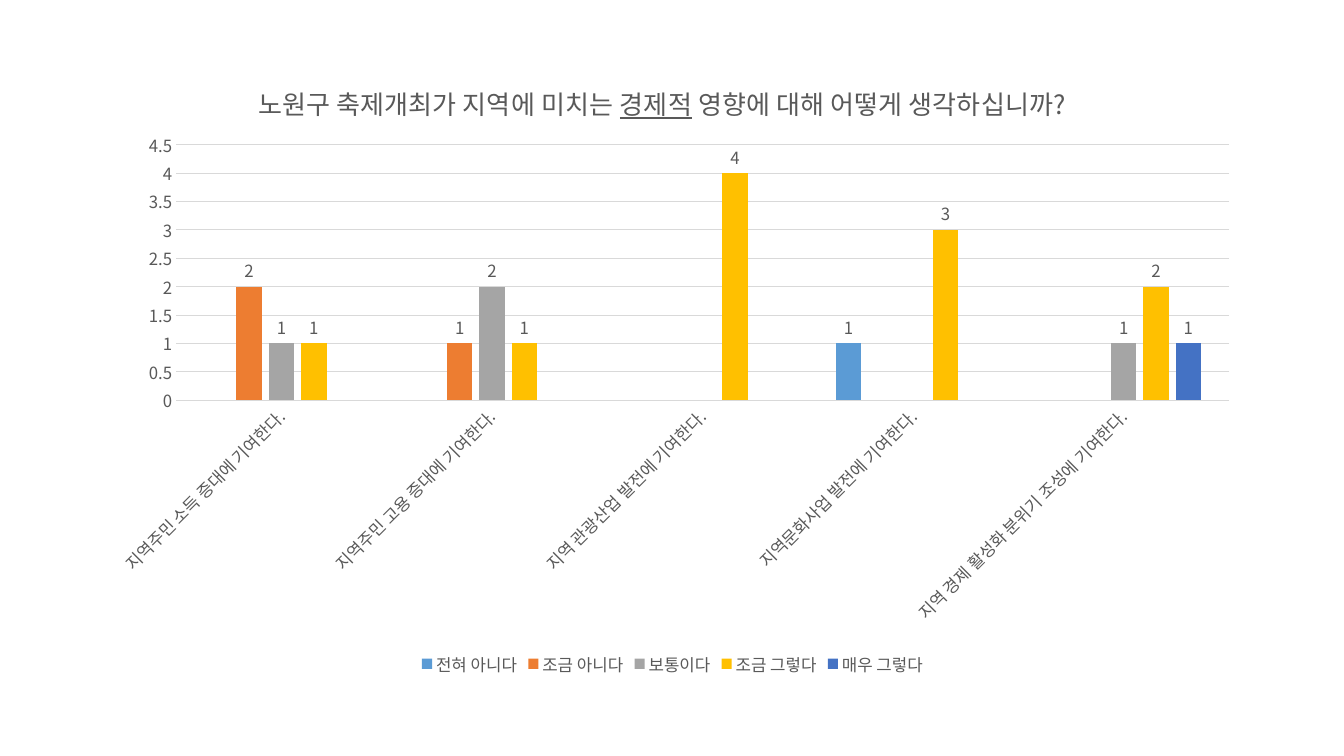
"""Build a slide with a clustered column chart of survey answers."""
from lxml import etree
from pptx import Presentation
from pptx.chart.data import CategoryChartData
from pptx.dml.color import RGBColor
from pptx.enum.chart import (
    XL_CHART_TYPE, XL_LABEL_POSITION, XL_LEGEND_POSITION, XL_TICK_MARK)
from pptx.oxml.ns import qn
from pptx.util import Inches, Pt

TITLE = [("노원구 축제개최가 지역에 미치는 ", False), ("경제적", True),
         (" 영향에 대해 어떻게 생각하십니까?", False)]
CLAIMS = ["지역주민 소득 증대에 기여한다.", "지역주민 고용 증대에 기여한다.",
          "지역 관광산업 발전에 기여한다.", "지역문화사업 발전에 기여한다.",
          "지역 경제 활성화 분위기 조성에 기여한다."]
ANSWERS = [
    ("전혀 아니다", (None, None, None, 1, None), RGBColor(0x5B, 0x9B, 0xD5)),
    ("조금 아니다", (2, 1, None, None, None), RGBColor(0xED, 0x7D, 0x31)),
    ("보통이다", (1, 2, None, None, 1), RGBColor(0xA5, 0xA5, 0xA5)),
    ("조금 그렇다", (1, 1, 4, 3, 2), RGBColor(0xFF, 0xC0, 0x00)),
    ("매우 그렇다", (None, None, None, None, 1), RGBColor(0x44, 0x72, 0xC4)),
]
FACE = "Noto Sans CJK KR"
GREY = RGBColor(0x59, 0x59, 0x59)
PALE = RGBColor(0xD9, 0xD9, 0xD9)
COLUMN = XL_CHART_TYPE.COLUMN_CLUSTERED
BOTTOM = XL_LEGEND_POSITION.BOTTOM
ABOVE = XL_LABEL_POSITION.OUTSIDE_END
NO_TICK = XL_TICK_MARK.NONE


def style(font, size=12, line=False):
    """Set face, size, colour and underline of a font."""
    font.name = FACE
    font.size = Pt(size)
    font.bold = False
    font.underline = line
    font.color.rgb = GREY


def write(para, text, **form):
    """Add a formatted run to a paragraph."""
    run = para.add_run()
    run.text = text
    style(run.font, **form)


def rule(line):
    """Draw a thin pale line."""
    line.color.rgb = PALE
    line.width = Pt(0.75)


def place(part, index, **spots):
    """Give a chart part a manual layout in fractions of the chart."""
    for old in part.findall(qn("c:layout")):
        part.remove(old)
    layout = etree.Element(qn("c:layout"))
    manual = etree.SubElement(layout, qn("c:manualLayout"))
    if "w" in spots:
        etree.SubElement(manual, qn("c:layoutTarget")).set("val", "inner")
    for mode in ("xMode", "yMode"):
        etree.SubElement(manual, qn("c:" + mode)).set("val", "edge")
    for key, share in spots.items():
        etree.SubElement(manual, qn("c:" + key)).set("val", str(share))
    part.insert(index, layout)


def fill(chart):
    """Format the series, axes, title and legend."""
    style(chart.font)
    plot = chart.plots[0]
    plot.gap_width = 219
    plot.overlap = -27
    plot.vary_by_categories = False
    for series, (_, _, color) in zip(plot.series, ANSWERS):
        series.format.fill.solid()
        series.format.fill.fore_color.rgb = color
        labels = series.data_labels
        labels.show_value = True
        labels.position = ABOVE
        style(labels.font)

    claims, count = chart.category_axis, chart.value_axis
    for axis in (claims, count):
        axis.major_tick_mark = axis.minor_tick_mark = NO_TICK
        style(axis.tick_labels.font)
    rule(claims.format.line)
    claims.tick_labels.font._element.getparent().getparent().getparent().find(
        qn("a:bodyPr")).set("rot", "-2700000")
    count.format.line.fill.background()
    count.minimum_scale, count.maximum_scale, count.major_unit = 0, 4.5, 0.5
    rule(count.major_gridlines.format.line)

    chart.has_title = True
    title = chart.chart_title
    para = title.text_frame.paragraphs[0]
    for text, line in TITLE:
        write(para, text, size=18.6, line=line)
    place(title._element, 1, x=0.14, y=0.04)
    place(chart._chartSpace.chart.plotArea, 0, x=0.072, y=0.146, w=0.908, h=0.407)

    chart.has_legend = True
    chart.legend.position = BOTTOM
    chart.legend.include_in_layout = False
    style(chart.legend.font)


def main():
    """Create and save the slide."""
    deck = Presentation()
    deck.slide_width, deck.slide_height = Inches(13.33), Inches(7.5)
    slide = deck.slides.add_slide(deck.slide_layouts[6])
    data = CategoryChartData()
    data.categories = CLAIMS
    for name, votes, _ in ANSWERS:
        data.add_series(name, votes)
    frame = slide.shapes.add_chart(
        COLUMN, Inches(0.92), Inches(0.53), Inches(11.5), Inches(6.22), data)
    fill(frame.chart)
    deck.save("out.pptx")


if __name__ == "__main__":
    main()
